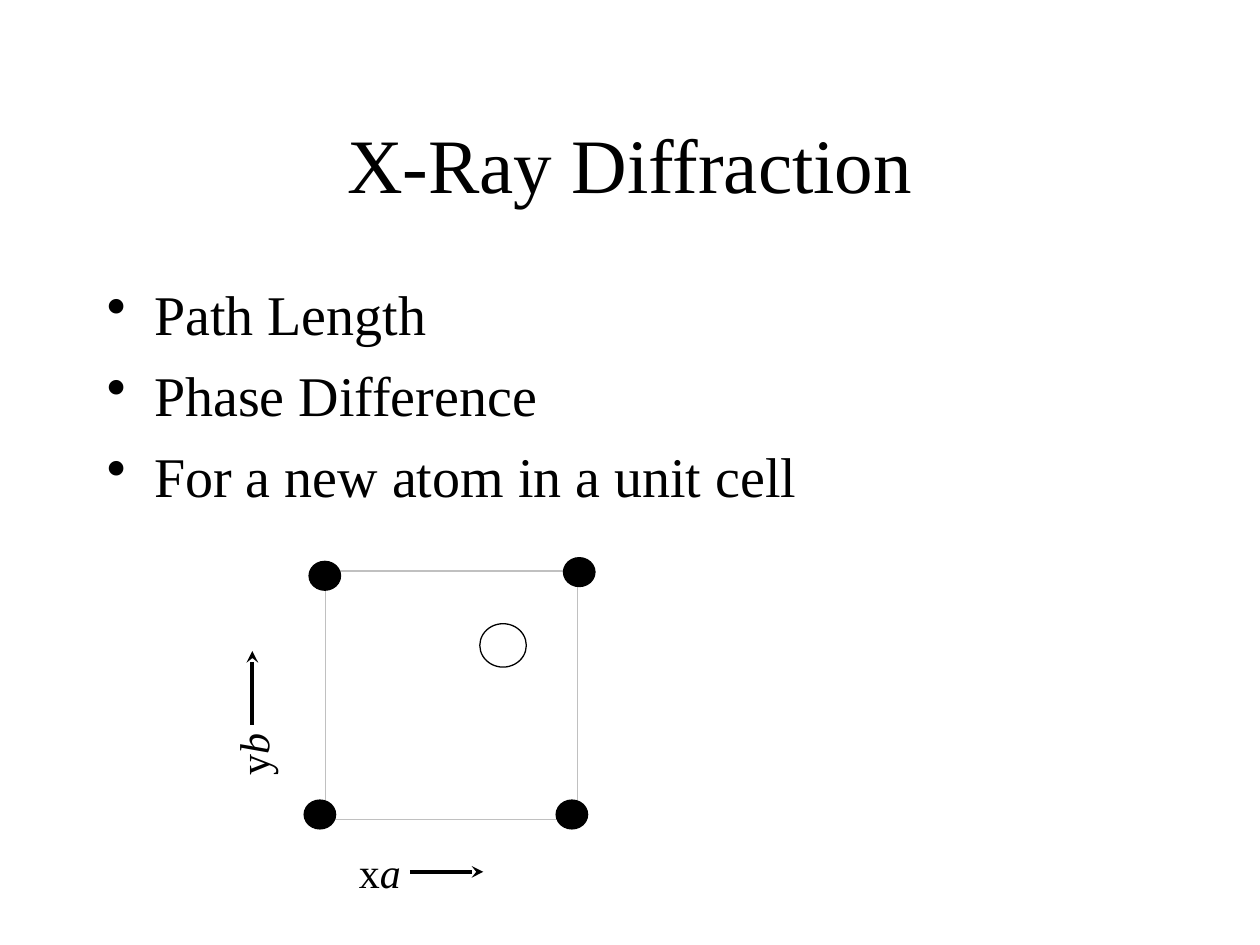
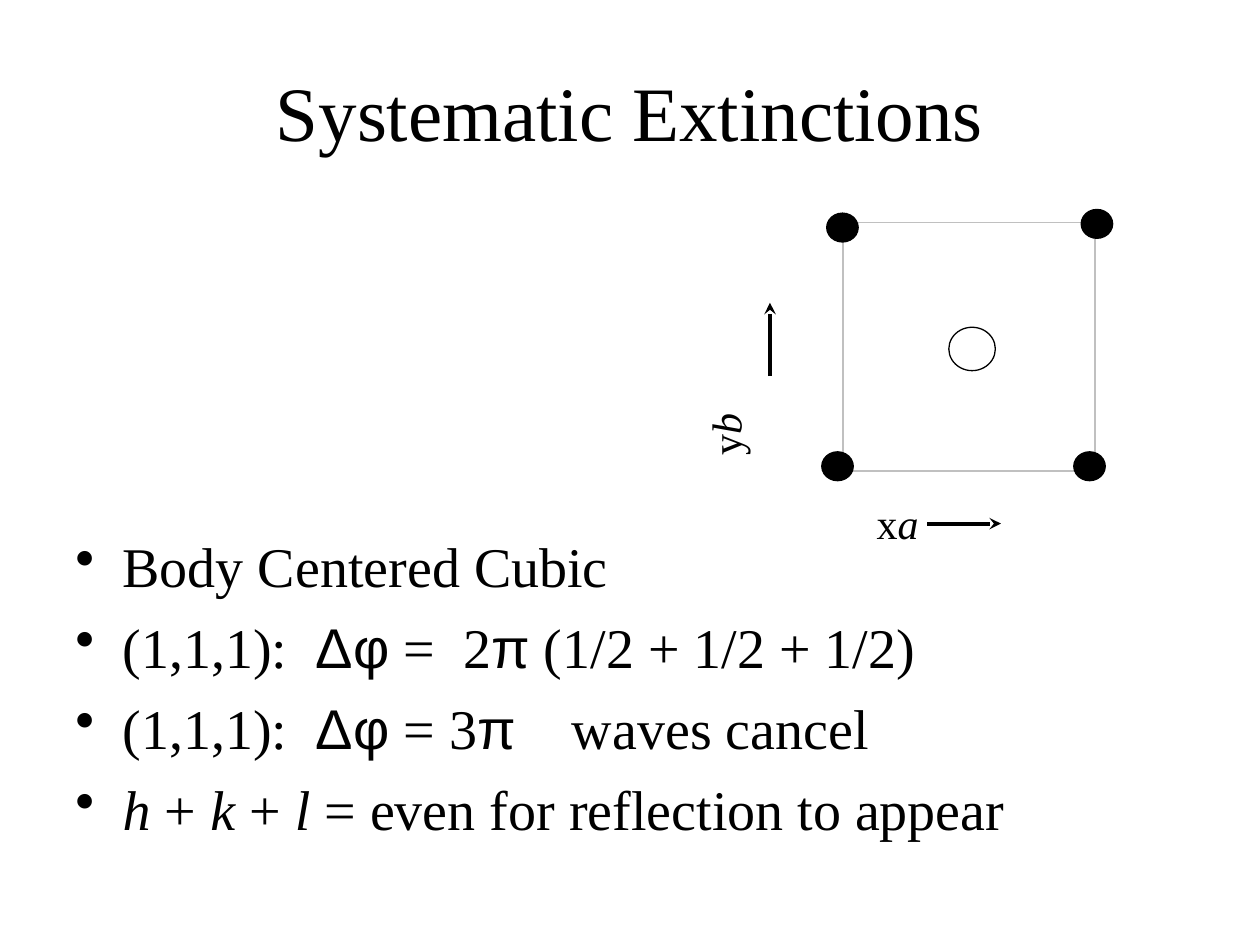
"""Build two slides on X-ray diffraction and systematic extinctions."""
from dataclasses import dataclass

import lxml.etree
import pptx
import pptx.dml.color
import pptx.enum.shapes
import pptx.enum.text
import pptx.oxml
import pptx.oxml.ns
import pptx.util

Pt = pptx.util.Pt
Shape = pptx.enum.shapes.MSO_SHAPE
Align = pptx.enum.text.PP_ALIGN
Anchor = pptx.enum.text.MSO_ANCHOR
AutoSize = pptx.enum.text.MSO_AUTO_SIZE

BLACK, WHITE, GREY = "000000", "FFFFFF", "C0C0C0"
SERIF, SANS = "Times New Roman", "Arial"
CELL_SIZE = (144, 142)
CORNER_SIZE = (18, 16.5)
NEW_ATOM_SIZE = (26.6, 24.8)
CORNERS = [(-9.4, -5.4), (136, -7.5), (-12.2, 131), (131.8, 131)]
INDENT = 27


@dataclass(frozen=True)
class Span:
    """A stretch of text with one format; spacing widens its letters."""
    text: str
    font: str = SERIF
    italic: bool = False
    spacing: float = 0


@dataclass(frozen=True)
class Box:
    """A rectangle in points."""
    left: float
    top: float
    width: float
    height: float

    def lengths(self) -> list:
        """Return the four lengths for python-pptx."""
        return [Pt(value) for value in (self.left, self.top, self.width, self.height)]


@dataclass(frozen=True)
class UnitCell:
    """A unit cell; the atom and the y label are offsets from its corner."""
    left: float
    top: float
    new_atom: tuple[float, float]
    y_label: tuple[float, float]

    def place(self, offset: tuple[float, float], size: tuple[float, float]) -> Box:
        """Return the box at an offset from the cell's corner."""
        return Box(self.left + offset[0], self.top + offset[1], *size)


@dataclass(frozen=True)
class Lesson:
    """The content of one slide."""
    title: str
    title_top: float
    body: Box
    bullets: list[list[Span]]
    cell: UnitCell


def colour(value: str) -> pptx.dml.color.RGBColor:
    """Turn a hex string into a colour."""
    return pptx.dml.color.RGBColor.from_string(value)


def add_child(parent, tag: str, **attributes: str):
    """Append a DrawingML element."""
    child = lxml.etree.SubElement(parent, pptx.oxml.ns.qn(tag))
    for name, value in attributes.items():
        child.set(name, value)
    return child


def add_bullet(para) -> None:
    """Give a paragraph a hanging round bullet."""
    properties = para._p.get_or_add_pPr()
    properties.set("marL", str(Pt(INDENT)))
    properties.set("indent", str(Pt(-INDENT)))
    add_child(add_child(properties, "a:buClr"), "a:srgbClr", val=BLACK)
    add_child(properties, "a:buChar", char="•")


def add_text(page, box: Box, lines: list[list[Span]], *, size: float, before: float = 0,
             align=Align.LEFT, anchor=Anchor.TOP, bullets: bool = False,
             grow: bool = False, rotation: float = 0) -> None:
    """Add a text box with one paragraph for each line."""
    holder = page.shapes.add_textbox(*box.lengths())
    holder.rotation = rotation
    frame = holder.text_frame
    frame.word_wrap = True
    frame.vertical_anchor = anchor
    frame.auto_size = AutoSize.SHAPE_TO_FIT_TEXT if grow else AutoSize.NONE
    for index, line in enumerate(lines):
        para = frame.add_paragraph() if index else frame.paragraphs[0]
        para.alignment = align
        para.space_before = Pt(before)
        if bullets:
            add_bullet(para)
        for span in line:
            run = para.add_run()
            run.text = span.text
            run.font.name = span.font
            run.font.size = Pt(size)
            run.font.italic = span.italic
            run.font.color.rgb = colour(BLACK)
            if span.spacing:
                run.font._element.set("spc", str(round(span.spacing * 100)))


def add_outline(page, kind, box: Box, *, fill: str, line: str) -> None:
    """Add a filled preset shape with a thin line."""
    shape = page.shapes.add_shape(kind, *box.lengths())
    shape.shadow.inherit = False
    shape.fill.solid()
    shape.fill.fore_color.rgb = colour(fill)
    shape.line.color.rgb = colour(line)
    shape.line.width = Pt(0.75)


def add_arrow(page, box: Box) -> None:
    """Add an arrow that runs from the box's corner over its width and height."""
    arrow = page.shapes.add_connector(
        pptx.enum.shapes.MSO_CONNECTOR.STRAIGHT, Pt(box.left), Pt(box.top),
        Pt(box.left + box.width), Pt(box.top + box.height))
    arrow.line.color.rgb = colour(BLACK)
    arrow.line.width = Pt(2.25)
    add_child(arrow.line._get_or_add_ln(), "a:tailEnd", type="stealth")
    add_child(arrow._element.spPr, "a:effectLst")


def add_unit_cell(page, cell: UnitCell) -> None:
    """Draw the cell with its atoms, axis labels and arrows."""
    add_outline(page, Shape.RECTANGLE, cell.place((0, 0), CELL_SIZE), fill=WHITE, line=GREY)
    for corner in CORNERS:
        add_outline(page, Shape.OVAL, cell.place(corner, CORNER_SIZE), fill=BLACK, line=BLACK)
    add_outline(page, Shape.OVAL, cell.place(cell.new_atom, NEW_ATOM_SIZE),
                fill=WHITE, line=BLACK)
    add_text(page, cell.place((12, 153.8), (84, 36)),
             [[Span("x"), Span("a", italic=True)]], size=24, before=15, grow=True)
    add_text(page, cell.place(cell.y_label, (42, 36)),
             [[Span("y"), Span("b", italic=True)]], size=24, before=15, grow=True,
             rotation=270)
    add_arrow(page, cell.place((48.2, 172), (42, 0)))
    add_arrow(page, cell.place((-41.8, 87.8), (0, -42)))


def add_lesson(deck, lesson: Lesson) -> None:
    """Add the slide for one lesson."""
    page = deck.slides.add_slide(deck.slide_layouts[6])
    add_text(page, Box(54, lesson.title_top, 612, 90), [[Span(lesson.title)]],
             size=44, align=Align.CENTER, anchor=Anchor.MIDDLE)
    add_text(page, lesson.body, lesson.bullets, size=32, before=8, bullets=True)
    add_unit_cell(page, lesson.cell)


PHASE = [Span("(1,1,1):"), Span(" ", spacing=8), Span("Δφ", font=SANS)]
PI = Span("π", font=SANS)
LESSONS = [
    Lesson("X-Ray Diffraction", 48, Box(54, 156, 612, 324),
           [[Span("Path Length")], [Span("Phase Difference")],
            [Span("For a new atom in a unit cell")]],
           UnitCell(186, 326.2, (88.2, 30.2), (-62.6, 85))),
    Lesson("Systematic Extinctions", 18, Box(36, 300, 612, 204),
           [[Span("Body Centered Cubic")],
            [*PHASE, Span(" ="), Span(" ", spacing=8), Span("2"), PI,
             Span(" (1/2 + 1/2 + 1/2)")],
            [*PHASE, Span(" = 3"), PI, Span(" ", spacing=24), Span("waves cancel")],
            [Span("h", italic=True), Span(" + "), Span("k", italic=True), Span(" + "),
             Span("l", italic=True), Span(" = even for reflection to appear")]],
           UnitCell(481.8, 127.2, (60.4, 59.8), (-88.6, 101))),
]


def main() -> None:
    """Build and save the deck."""
    deck = pptx.Presentation()
    deck.slide_width, deck.slide_height = Pt(720), Pt(540)
    for lesson in LESSONS:
        add_lesson(deck, lesson)
    deck.save("out.pptx")


if __name__ == "__main__":
    main()
